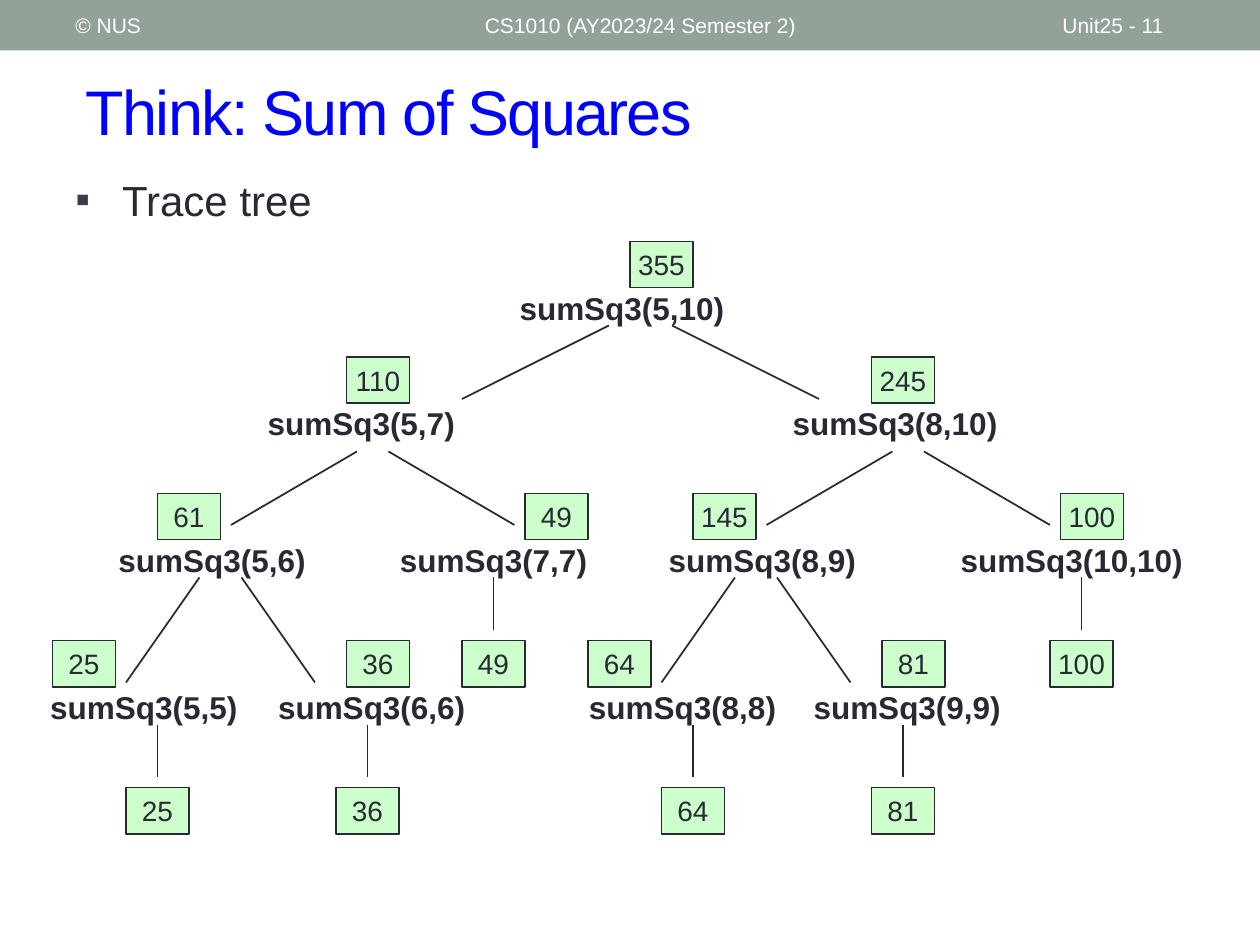
from lxml.etree import SubElement as Sub
from pptx import Presentation
from pptx.dml.color import RGBColor
from pptx.enum.shapes import MSO_CONNECTOR as Conn, MSO_SHAPE as Shape
from pptx.enum.text import MSO_ANCHOR as Anchor, PP_ALIGN as Align
from pptx.oxml.ns import qn
from pptx.util import Inches, Pt

WIDE, HIGH = 10, 7.5
COLS, ROWS = 120, 90
INK = "292934"
TIGHT = 0.04

CALLS = [
    ("sumSq3(5,10)", 49, 29, "355", 60, 4),
    ("sumSq3(5,7)", 25, 27, "110", 33, 15),
    ("sumSq3(8,10)", 75, 27, "245", 83, 15),
    ("sumSq3(5,6)", 10.8, 19.2, "61", 15, 28),
    ("sumSq3(7,7)", 37.6, 19.4, "49", 50, 28),
    ("sumSq3(8,9)", 63.2, 19.8, "145", 66, 28),
    ("sumSq3(10,10)", 91, 22.8, "100", 101, 28),
    ("sumSq3(5,5)", 4.3, 19.7, "25", 5, 42),
    ("sumSq3(6,6)", 26, 20, "36", 33, 42),
    ("sumSq3(8,8)", 55.6, 19.4, "64", 56, 42),
    ("sumSq3(9,9)", 77, 19.8, "81", 84, 42),
]
FORKS = [
    (61, 3, 14, 8, 15),
    (35.5, 1.5, 12, 20, 27),
    (86.5, 1.5, 12, 20, 27),
    (21, 2, 7, 32, 42),
    (72, 2, 7, 32, 42),
]
LEAVES = [
    ("49", 47, 28), ("100", 103, 28),
    ("25", 15, 42), ("36", 35, 42), ("64", 66, 42), ("81", 86, 42),
]


def hue(code):
    return RGBColor.from_string(code)


def grid(x, y, w, h):
    return (Inches(x * WIDE / COLS), Inches(y * HIGH / ROWS),
            Inches(w * WIDE / COLS), Inches(h * HIGH / ROWS))


def style(para, size, color, bold=False):
    for run in para.runs:
        run.font.name = "Arial"
        run.font.size = Pt(size)
        run.font.bold = bold
        run.font.color.rgb = hue(color)


def write(item, text, size, color, bold=False, pad=None, anchor=Anchor.TOP):
    frame = item.text_frame
    frame.word_wrap = True
    frame.vertical_anchor = anchor
    if pad is not None:
        frame.margin_left = frame.margin_right = Inches(pad)
        frame.margin_top = frame.margin_bottom = Inches(pad)
    frame.text = text
    para = frame.paragraphs[0]
    style(para, size, color, bold)
    return para


def block(shapes, box, fill, line=None):
    item = shapes.add_shape(Shape.RECTANGLE, *grid(*box))
    item.shadow.inherit = False
    item.fill.solid()
    item.fill.fore_color.rgb = hue(fill)
    if line:
        item.line.color.rgb = hue(line)
        item.line.width = Pt(1)
    else:
        item.line.fill.background()
    return item


def link(shapes, x1, y1, x2, y2):
    item = shapes.add_connector(Conn.STRAIGHT, *grid(x1, y1, x2, y2))
    item.line.color.rgb = hue(INK)
    item.line.width = Pt(1)
    Sub(item.element.spPr, qn("a:effectLst"))


def header(shapes, box):
    x, y, w, h = box
    block(shapes, box, "93A299")
    parts = [("© NUS", 6, 38),
             ("CS1010 (AY2023/24 Semester 2)", 45, 54),
             ("Unit25 - 11", 100, 14)]
    for text, left, width in parts:
        spot = (x + w * left / COLS, y + h * 0.05,
                w * width / COLS, h * 0.9)
        item = shapes.add_textbox(*grid(*spot))
        write(item, text, 12, "FFFFFF", anchor=Anchor.MIDDLE)


def title(shapes, box):
    item = shapes.add_textbox(*grid(*box))
    para = write(item, "Think: Sum of Squares", 36, "0000FF",
                 anchor=Anchor.MIDDLE)
    para.runs[0].font._element.set("spc", "-100")


def topic(shapes, box):
    item = shapes.add_textbox(*grid(*box))
    para = write(item, "Trace tree", 24, INK)
    props = para._p.get_or_add_pPr()
    props.set("marL", str(Inches(0.37)))
    props.set("indent", str(-Inches(0.37)))
    tint = Sub(props, qn("a:buClr"))
    Sub(tint, qn("a:srgbClr"), val="3B3B4B")
    Sub(props, qn("a:buFont"), typeface="Arial")
    Sub(props, qn("a:buChar"), char="▪")


def value(shapes, x, y, text):
    item = block(shapes, (x, y, 6, 4.4), "CCFFCC", INK)
    para = write(item, text, 16, INK, pad=TIGHT, anchor=Anchor.MIDDLE)
    para.alignment = Align.CENTER


def tree(shapes, box):
    x, y, w, h = box
    sx, sy = w / COLS, h / 57
    part = shapes.add_group_shape().shapes
    for mid, gap, span, top, end in FORKS:
        for side in (-1, 1):
            near = mid + side * gap
            link(part, x + near * sx, y + top * sy,
                 x + (near + side * span) * sx, y + end * sy)
    for text, mid, row in LEAVES:
        link(part, x + mid * sx, y + (row + 4) * sy,
             x + mid * sx, y + (row + 9) * sy)
        value(part, x + (mid - 3) * sx, y + (row + 10) * sy, text)
    for call, left, width, total, edge, row in CALLS:
        spot = (x + left * sx, y + row * sy, width * sx, 4.5 * sy)
        item = part.add_textbox(*grid(*spot))
        write(item, call, 18, INK, True, TIGHT)
        value(part, x + edge * sx, y + (row - 4) * sy, total)


def main():
    deck = Presentation()
    deck.slide_width, deck.slide_height = Inches(WIDE), Inches(HIGH)
    shapes = deck.slides.add_slide(deck.slide_layouts[6]).shapes
    header(shapes, (0, 0, COLS, 4.8))
    title(shapes, (7, 5, 110, 11))
    topic(shapes, (6, 16, 33, 7))
    tree(shapes, (0, 23, COLS, 57))
    deck.save("out.pptx")


if __name__ == "__main__":
    main()
